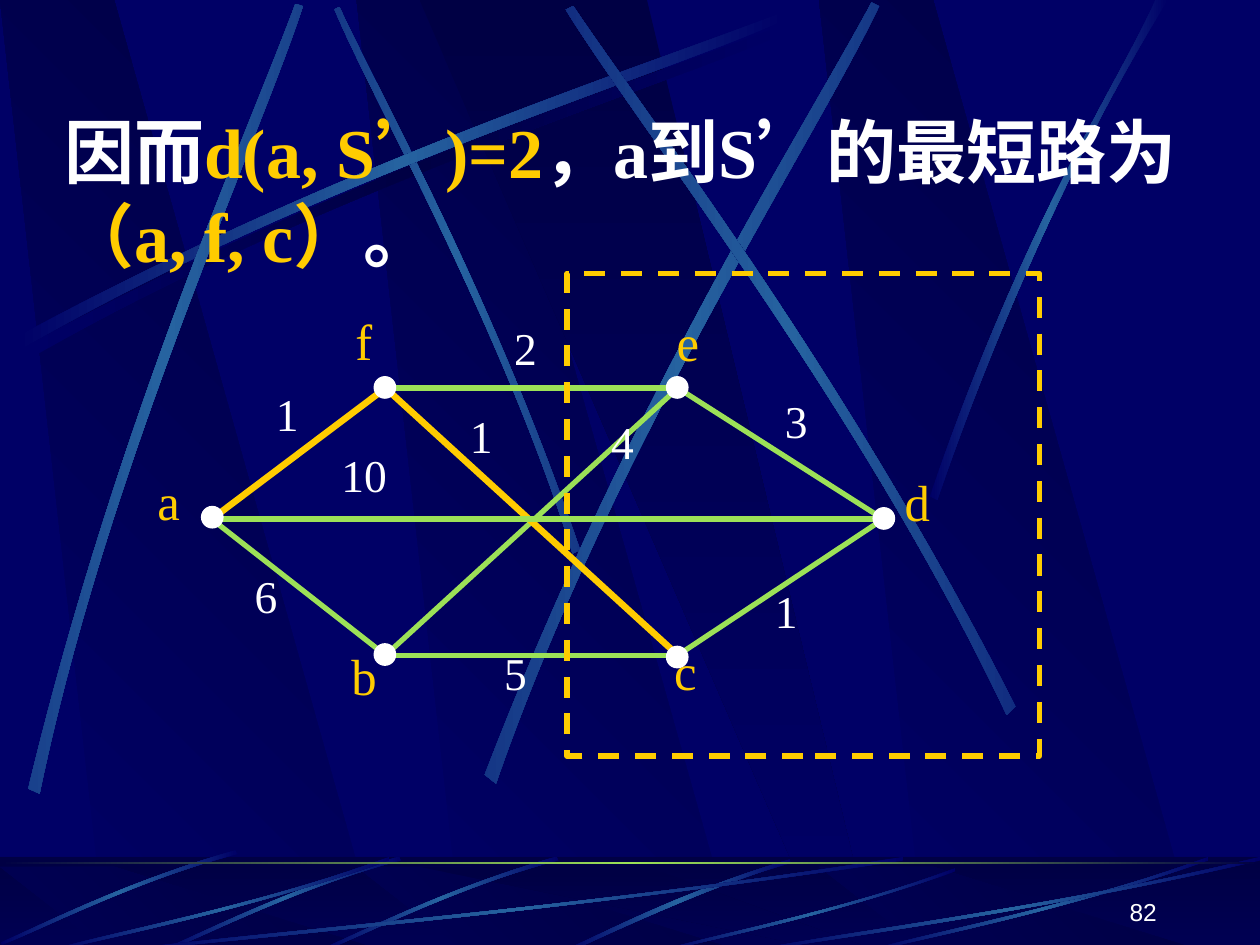
from copy import deepcopy
from dataclasses import dataclass
from math import cos, radians, sin

from lxml.etree import SubElement
from pptx import Presentation
from pptx.dml.color import RGBColor
from pptx.enum.dml import MSO_LINE
from pptx.enum.shapes import MSO_CONNECTOR, MSO_SHAPE
from pptx.enum.text import MSO_ANCHOR, MSO_AUTO_SIZE, PP_ALIGN
from pptx.oxml.ns import qn
from pptx.util import Inches, Pt


@dataclass(frozen=True)
class Theme:
    navy: str = "000066"
    dark: str = "000044"
    streak: str = "2663A0"
    green: str = "9CE157"
    gold: str = "FFCC00"
    white: str = "FFFFFF"
    serif: str = "Times New Roman"
    sans: str = "Arial"
    title_size: int = 40
    node_size: int = 29
    weight_size: int = 26
    number_size: int = 14


THEME = Theme()
FADE = (THEME.navy, THEME.dark)
RISE = (THEME.dark, THEME.navy)
GLOW = (THEME.navy, THEME.streak, THEME.navy)
SHADE = (THEME.navy, THEME.dark, THEME.navy)

PANEL = [(0.28, 1), (1, 1), (0.3, 0), (0, 0)]
BEAM = [(0, 0), (0.9, 1), (1, 1), (0.5, 0)]
SWEEP = [(1, 0.04), (0.57, 0.57), (0.17, 0.85), (0, 1),
         (0, 0.98), (0.16, 0.81), (0.62, 0.51), (1, 0)]

LONG_STREAK = [(0.14, 2.67), (2.78, 1.25), (5.18, 0.51), (6.2, 0.1),
               (6.23, 0.16), (5.22, 0.61), (2.48, 1.43), (0.17, 2.77)]
UPPER_STREAKS = [
    (45, [(4.6, 4.36), (3.91, 2.34), (3.02, 0.77), (2.69, 0.05),
          (2.65, 0.07), (2.95, 0.79), (3.98, 2.58), (4.54, 4.39)]),
    (0, LONG_STREAK),
    (311.7, [(0.23, 6.25), (0.93, 3.34), (1.97, 1.05), (2.35, 0.02),
             (2.41, 0.04), (2.07, 1.09), (0.86, 3.68), (0.32, 6.29)]),
    (321.6, [(3.85, 6.14), (4.98, 3.2), (6.38, 1.02), (6.92, 0.01),
             (6.98, 0.04), (6.49, 1.08), (4.86, 3.55), (3.94, 6.21)]),
    (34.7, [(8.06, 5.6), (6.7, 2.93), (5.16, 0.95), (4.55, 0.04),
            (4.49, 0.07), (5.07, 1.01), (6.85, 3.25), (7.99, 5.67)]),
    (0, [(7.38, 3.94), (8.14, 1.73), (8.88, 0.66), (9.17, 0),
         (9.27, 0), (8.36, 1.45), (7.69, 3.22), (7.44, 3.97)]),
]
FLOOR_STREAK = [(6.27, 6.82), (5.37, 7.09), (4.77, 7.42), (4.48, 7.54),
                (4.53, 7.55), (4.9, 7.38), (5.71, 7), (6.28, 6.85)]
TILTED_STREAK = [(4.42, 6.8), (3.55, 7.05), (2.87, 7.4), (2.56, 7.53),
                 (2.57, 7.55), (2.88, 7.43), (3.65, 7.03), (4.44, 6.83)]
TILTED_SHIFTS = [(0, 0), (-1.25, 0), (-2.55, -0.05)]
SWEEP_BOXES = [(1, 6.8, 6.17, 0.75), (0.42, 6.8, 2.67, 0.75), (5.27, 6.89, 2.31, 0.66),
               (6.92, 6.8, 2.67, 0.75), (6, 6.8, 4, 0.75)]

NODES = {
    "a": ((1.68, 4.12), (1.6, 4.02), (1.17, 3.69)),
    "b": ((3.06, 5.2), (2.97, 5.11), (2.71, 5.08)),
    "c": ((5.38, 5.2), (5.29, 5.13), (5.27, 5.04)),
    "d": ((7.01, 4.12), (6.93, 4.03), (7.1, 3.7)),
    "e": ((5.38, 3.08), (5.29, 2.99), (5.29, 2.43)),
    "f": ((3.06, 3.08), (2.97, 2.99), (2.74, 2.42)),
}
EDGES = [
    ("b", "e", "4", (4.77, 3.25)), ("f", "c", "1", (3.65, 3.2)),
    ("a", "b", "6", (1.94, 4.47)), ("b", "c", "5", (3.92, 5.08)),
    ("c", "d", "1", (6.07, 4.59)), ("a", "d", "10", (2.63, 3.51)),
    ("a", "f", "1", (2.11, 3.02)), ("f", "e", "2", (4, 2.5)),
    ("e", "d", "3", (6.15, 3.08)),
]
SHORTEST_PATH = {("a", "f"), ("f", "c")}


def rgb(color):
    return RGBColor.from_string(color)


def shift(outline, dx, dy):
    return [(x + dx, y + dy) for x, y in outline]


def fit(outline, left, top, width, height):
    return [(left + x * width, top + y * height) for x, y in outline]


def turn(points, angle):
    xs, ys = zip(*points)
    cx, cy = (min(xs) + max(xs)) / 2, (min(ys) + max(ys)) / 2
    co, si = cos(radians(angle)), sin(radians(angle))
    return [(cx + (x - cx) * co - (y - cy) * si, cy + (x - cx) * si + (y - cy) * co)
            for x, y in points]


def set_gradient(shape, colors, angle):
    shape.fill.gradient()
    shape.fill.gradient_angle = angle
    shape._element.spPr.find(qn("a:gradFill")).set("rotWithShape", "0")
    stop_list = shape._element.spPr.find(".//" + qn("a:gsLst"))
    for _ in colors[2:]:
        stop_list.append(deepcopy(stop_list[0]))
    for index, (stop, color) in enumerate(zip(shape.fill.gradient_stops, colors)):
        stop.color.rgb = rgb(color)
        stop.position = index / (len(colors) - 1)


def add_outline(slide, points, colors, angle=0, rotation=0):
    corners = [(Inches(x), Inches(y)) for x, y in turn(points, -rotation)]
    builder = slide.shapes.build_freeform(*corners[0], scale=1.0)
    builder.add_line_segments(corners[1:], close=True)
    shape = builder.convert_to_shape()
    shape.rotation = rotation
    shape.shadow.inherit = False
    shape.line.fill.background()
    set_gradient(shape, colors, angle)
    return shape


def add_streak(slide, outline, colors=GLOW, rotation=0):
    streak = add_outline(slide, outline, colors, rotation=rotation)
    segments = streak._element.findall(".//" + qn("a:lnTo"))
    for side in (segments[:3], segments[4:7]):
        curve = SubElement(side[0].getparent(), qn("a:cubicBezTo"))
        side[0].addprevious(curve)
        for segment in side:
            curve.append(segment[0])
            segment.getparent().remove(segment)


def add_panels(slide, top, height):
    for left in (2.83, 0, 6.5):
        add_outline(slide, fit(PANEL, left, top, 3.02, height), FADE, 45)
    add_outline(slide, fit(BEAM, 3.33, top, 3.61, height), RISE, 270)


def add_figure(canvas, kind, box, fill=None, line=None, width=0.75):
    figure = canvas.shapes.add_shape(kind, *map(Inches, box))
    figure.shadow.inherit = False
    if fill:
        figure.fill.solid()
        figure.fill.fore_color.rgb = rgb(fill)
    else:
        figure.fill.background()
    if line:
        figure.line.color.rgb = rgb(line)
        figure.line.width = Pt(width)
    else:
        figure.line.fill.background()
    return figure


def add_backdrop(slide):
    add_panels(slide, 0, 7.52)
    add_streak(slide, shift(LONG_STREAK, 0.06, 0.08), SHADE)
    for rotation, outline in UPPER_STREAKS:
        add_streak(slide, outline, rotation=rotation)

    floor_box = (0, 6.8, 10, 0.75)
    set_gradient(add_figure(slide, MSO_SHAPE.RECTANGLE, floor_box), RISE, 270)
    add_panels(slide, 6.88, 0.66)
    veil = add_figure(slide, MSO_SHAPE.RECTANGLE, floor_box, fill=THEME.dark)
    SubElement(veil._element.spPr.find(qn("a:solidFill"))[0], qn("a:alpha"), val="50000")
    add_streak(slide, FLOOR_STREAK)
    for offset in TILTED_SHIFTS:
        add_streak(slide, shift(TILTED_STREAK, *offset), rotation=315)
    for box in SWEEP_BOXES:
        add_streak(slide, fit(SWEEP, *box))
    horizon = add_figure(slide, MSO_SHAPE.RECTANGLE, (0, 6.84, 10, 0.02))
    set_gradient(horizon, (THEME.dark, THEME.green, THEME.dark), 0)


def move_to_master(slide):
    master = slide.slide_layout.slide_master
    master.background.fill.solid()
    master.background.fill.fore_color.rgb = rgb(THEME.navy)
    decor = [shape for shape in slide.shapes if not shape.is_placeholder]
    for index, shape in enumerate(decor):
        shape._element.nvSpPr.cNvPr.set("id", str(100 + index))
        master.shapes._spTree.insert(2 + index, shape._element)


def add_run(paragraph, text, *, size, color, font=THEME.serif, bold=False):
    run = paragraph.add_run()
    run.text = text
    run.font.name, run.font.size, run.font.bold = font, Pt(size), bold
    run.font.color.rgb = rgb(color)


def add_label(canvas, text, box, *, align=PP_ALIGN.JUSTIFY, anchor=MSO_ANCHOR.TOP,
              insets=(0.08, 0.04), **style):
    frame = canvas.shapes.add_textbox(*map(Inches, box)).text_frame
    frame.word_wrap = True
    frame.vertical_anchor = anchor
    frame.margin_left = frame.margin_right = Inches(insets[0])
    frame.margin_top = frame.margin_bottom = Inches(insets[1])
    frame.paragraphs[0].alignment = align
    add_run(frame.paragraphs[0], text, **style)


def add_title(slide):
    title = slide.shapes.title
    title.left, title.top, title.width, title.height = map(Inches, (0.41, 0.81, 9.25, 1.43))
    frame = title.text_frame
    frame.word_wrap = True
    frame.auto_size = MSO_AUTO_SIZE.SHAPE_TO_FIT_TEXT
    frame.vertical_anchor = MSO_ANCHOR.MIDDLE
    lines = [
        [("因而", THEME.white), ("d(a, S’)=2", THEME.gold), ("，a到S’的最短路为", THEME.white)],
        [("（a, f, c）", THEME.gold), ("。", THEME.white)],
    ]
    for index, line in enumerate(lines):
        paragraph = frame.add_paragraph() if index else frame.paragraphs[0]
        paragraph.alignment = PP_ALIGN.LEFT
        for text, color in line:
            add_run(paragraph, text, size=THEME.title_size, color=color, bold=True)


def add_edge(canvas, start, end, color, width):
    edge = canvas.shapes.add_connector(MSO_CONNECTOR.STRAIGHT, *map(Inches, (*start, *end)))
    edge.line.color.rgb = rgb(color)
    edge.line.width = Pt(width)
    SubElement(edge._element.spPr, qn("a:effectLst"))


def add_graph(slide):
    graph = slide.shapes.add_group_shape()
    for name, (_, _, corner) in NODES.items():
        add_label(graph, name, (*corner, 0.4, 0.63), size=THEME.node_size, color=THEME.gold)
    for start, end, _, _ in EDGES:
        color, width = (THEME.gold, 3.75) if (start, end) in SHORTEST_PATH else (THEME.green, 3)
        add_edge(graph, NODES[start][0], NODES[end][0], color, width)
    for _, corner, _ in NODES.values():
        add_figure(graph, MSO_SHAPE.OVAL, (*corner, 0.17, 0.17), THEME.white, THEME.white)
    for _, _, weight, corner in EDGES:
        add_label(graph, weight, (*corner, 0.19 * (1 + len(weight)), 0.57),
                  size=THEME.weight_size, color=THEME.white)
    remaining_set = add_figure(slide, MSO_SHAPE.RECTANGLE, (4.5, 2.17, 3.75, 3.83),
                               line=THEME.gold, width=3)
    remaining_set.line.dash_style = MSO_LINE.DASH


def main():
    deck = Presentation()
    deck.slide_width, deck.slide_height = Inches(10), Inches(7.5)
    slide = deck.slides.add_slide(deck.slide_layouts[5])
    add_backdrop(slide)
    move_to_master(slide)
    add_title(slide)
    add_graph(slide)
    add_label(slide, "82", (7.2, 6.9, 2.08, 0.5), align=PP_ALIGN.RIGHT,
              anchor=MSO_ANCHOR.BOTTOM, insets=(0.1, 0.05),
              size=THEME.number_size, color=THEME.white, font=THEME.sans)
    deck.save("out.pptx")


if __name__ == "__main__":
    main()
